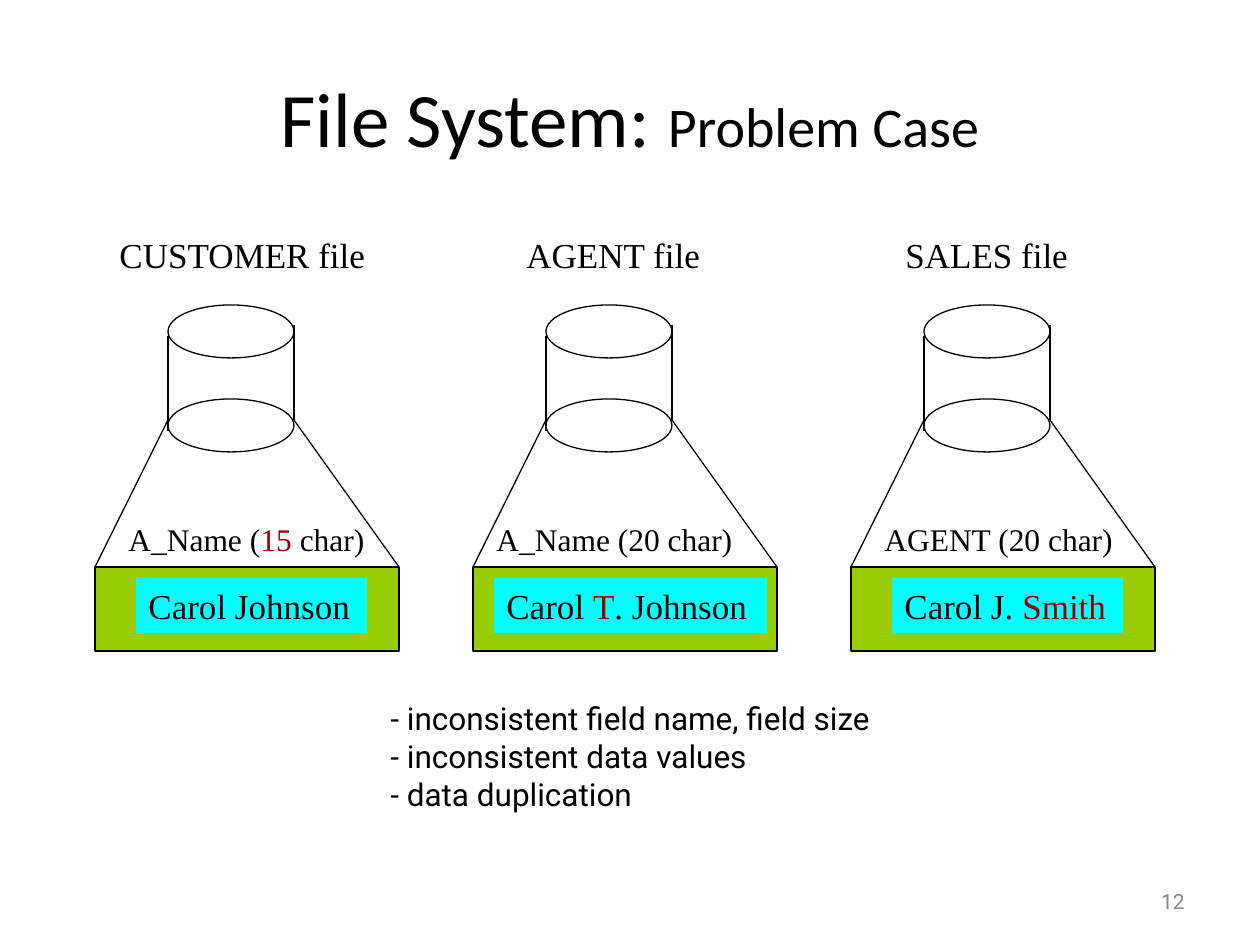
from pptx import Presentation
from pptx.dml.color import RGBColor
from pptx.enum.shapes import MSO_CONNECTOR, MSO_SHAPE
from pptx.enum.text import MSO_ANCHOR, PP_ALIGN
from pptx.oxml.ns import qn
from pptx.util import Emu, Pt
from lxml.etree import SubElement

BLACK = RGBColor(0x00, 0x00, 0x00)
RED = RGBColor(0x99, 0x00, 0x00)
GREEN = RGBColor(0x99, 0xCC, 0x00)
CYAN = RGBColor(0x00, 0xFF, 0xFF)
GRAY = RGBColor(0x89, 0x89, 0x89)
SERIF = "Times New Roman"
PITCH = 378


def px(*values):
    return [Emu(round(v * 914400 / 126)) for v in values]


def write(sp, runs, size, name, wrap=False):
    tf = sp.text_frame
    tf.word_wrap = wrap
    tf.vertical_anchor = MSO_ANCHOR.TOP
    p = tf.paragraphs[0]
    p.alignment = PP_ALIGN.LEFT
    p.font.size = Pt(size)
    p.font.name = name
    for text, color in runs:
        r = p.add_run()
        r.text = text
        r.font.color.rgb = color


prs = Presentation()
prs.slide_width, prs.slide_height = px(1260, 945)
s = prs.slides.add_slide(prs.slide_layouts[5])

title = s.shapes.title
title.left, title.top, title.width, title.height = px(63, 38, 1134, 157)
title.text_frame.vertical_anchor = MSO_ANCHOR.MIDDLE
p = title.text_frame.paragraphs[0]
p.alignment = PP_ALIGN.CENTER
p.font.name = "Calibri"
p.font.color.rgb = BLACK
for text, size in (("File System: ", 44), ("Problem Case", 32)):
    r = p.add_run()
    r.text = text
    r.font.size = Pt(size)

files = [
    ("CUSTOMER file", (107, 271), [("A_Name (", BLACK), ("15", RED), (" char)", BLACK)], (116, 261),
     [("Carol Johnson", BLACK)], (136, 231)),
    ("AGENT file", (514, 199), [("A_Name (20 char)", BLACK)], (484, 261),
     [("Carol ", BLACK), ("T", RED), (". Johnson", BLACK)], (494, 273)),
    ("SALES file", (893, 188), [("AGENT (20 char)", BLACK)], (872, 255),
     [("Carol J. ", BLACK), ("Smith", RED)], (892, 231)),
]

for i, (heading, heading_at, field, field_at, value, value_at) in enumerate(files):
    left = 95 + i * PITCH
    right = left + 304
    drum_left = left + 73
    drum_right = drum_left + 126

    sp = s.shapes.add_textbox(*px(heading_at[0], 227, heading_at[1], 55))
    write(sp, [(heading, BLACK)], 20, SERIF)

    drum = s.shapes.add_group_shape()
    for top in (305, 399):
        sp = drum.shapes.add_shape(MSO_SHAPE.OVAL, *px(drum_left, top, 126, 53))
        sp.shadow.inherit = False
        sp.fill.background()
        sp.line.color.rgb = BLACK
        sp.line.width = Pt(0.75)

    for shapes, ends in (
        (drum.shapes, (drum_left, 336, drum_left, 431)),
        (drum.shapes, (drum_right, 325, drum_right, 420)),
        (s.shapes, (drum_left, 420, left, 567)),
        (s.shapes, (right, 567, drum_right, 420)),
    ):
        line = shapes.add_connector(MSO_CONNECTOR.STRAIGHT, *px(*ends))
        line.line.color.rgb = BLACK
        line.line.width = Pt(0.75)
        SubElement(line._element.spPr, qn("a:effectLst"))

    record = s.shapes.add_shape(MSO_SHAPE.RECTANGLE, *px(left, 567, 304, 84))
    record.shadow.inherit = False
    record.fill.solid()
    record.fill.fore_color.rgb = GREEN
    record.line.color.rgb = BLACK
    record.line.width = Pt(0.75)

    sp = s.shapes.add_textbox(*px(field_at[0], 514, field_at[1], 50))
    write(sp, field, 18, SERIF)

    sp = s.shapes.add_shape(MSO_SHAPE.RECTANGLE, *px(value_at[0], 578, value_at[1], 55))
    sp.shadow.inherit = False
    sp.fill.solid()
    sp.fill.fore_color.rgb = CYAN
    sp.line.fill.background()
    write(sp, value, 20, SERIF, wrap=True)

tf = s.shapes.add_textbox(*px(378, 693, 557, 126)).text_frame
tf.word_wrap = True
tf.text = "- inconsistent field name, field size\n- inconsistent data values\n- data duplication"
for p in tf.paragraphs:
    p.font.size = Pt(18)
    p.font.name = "Roboto"
    p.font.color.rgb = BLACK

sp = s.shapes.add_textbox(*px(903, 876, 294, 50))
write(sp, [("12", GRAY)], 12, "Roboto", wrap=True)
sp.text_frame.vertical_anchor = MSO_ANCHOR.MIDDLE
sp.text_frame.paragraphs[0].alignment = PP_ALIGN.RIGHT

prs.save("out.pptx")
